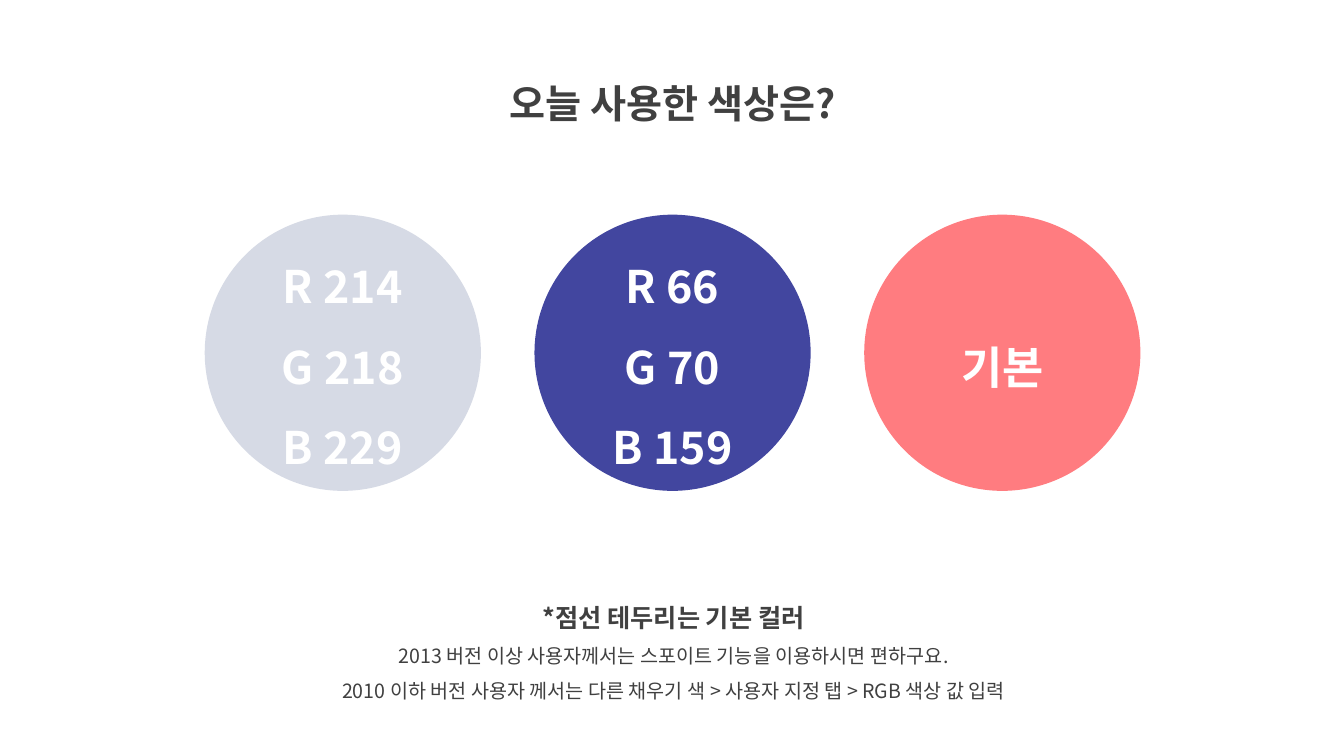
from dataclasses import dataclass

from lxml import etree
from pptx import Presentation
from pptx import util as u
from pptx.dml import color
from pptx.enum import shapes, text
from pptx.oxml import ns


@dataclass(frozen=True)
class Theme:
    font: str = "Noto Sans CJK KR"
    ink: str = "404040"
    white: str = "FFFFFF"
    gray: str = "D6DAE5"
    indigo: str = "42469F"
    coral: str = "FF7C80"
    title_size: int = 28
    swatch_size: int = 32
    heading_size: int = 18
    note_size: int = 14


theme = Theme()


def write_lines(box, lines, tint, anchor):
    frame = box.text_frame
    frame.word_wrap = True
    frame.vertical_anchor = anchor
    for index, (words, size, bold) in enumerate(lines):
        para = frame.paragraphs[0] if index == 0 else frame.add_paragraph()
        para.alignment = text.PP_ALIGN.CENTER
        para.line_spacing = 1.5
        span = para.add_run()
        span.text = words
        formats = {"name": theme.font, "size": u.Pt(size), "bold": bold}
        for name, value in formats.items():
            setattr(span.font, name, value)
        span.font.color.rgb = color.RGBColor.from_string(tint)
        east_asian = etree.SubElement(span.font._element, ns.qn("a:ea"))
        east_asian.set("typeface", theme.font)


deck = Presentation()
deck.slide_width = u.Cm(33.87)
deck.slide_height = u.Cm(19.05)
page = deck.slides.add_slide(deck.slide_layouts[6])

captions = [
    ((11.07, 1.27, 11.76, 1.83), [("오늘 사용한 색상은?", theme.title_size, True)]),
    ((6.83, 14.66, 20.29, 3.2), [
        ("*점선 테두리는 기본 컬러", theme.heading_size, True),
        ("2013 버전 이상 사용자께서는 스포이트 기능을 이용하시면 편하구요.", theme.note_size, False),
        ("2010 이하 버전 사용자 께서는 다른 채우기 색 > 사용자 지정 탭 > RGB 색상 값 입력", theme.note_size, False),
    ]),
]
for place, lines in captions:
    box = page.shapes.add_textbox(*map(u.Cm, place))
    write_lines(box, lines, theme.ink, text.MSO_ANCHOR.TOP)
    box.text_frame.auto_size = text.MSO_AUTO_SIZE.SHAPE_TO_FIT_TEXT

swatches = [
    (theme.gray, ["R 214", "G 218", "B 229"]),
    (theme.indigo, ["R 66", "G 70", "B 159"]),
    (theme.coral, ["기본"]),
]
first_left, top, diameter, pitch = 5.16, 5.41, 6.96, 8.31
for column, (tint, labels) in enumerate(swatches):
    disc = page.shapes.add_shape(
        shapes.MSO_SHAPE.OVAL,
        u.Cm(first_left + column * pitch), u.Cm(top), u.Cm(diameter), u.Cm(diameter),
    )
    disc.shadow.inherit = False
    disc.fill.solid()
    disc.fill.fore_color.rgb = color.RGBColor.from_string(tint)
    disc.line.fill.background()
    lines = [(label, theme.swatch_size, True) for label in labels]
    write_lines(disc, lines, theme.white, text.MSO_ANCHOR.MIDDLE)

deck.save("out.pptx")
